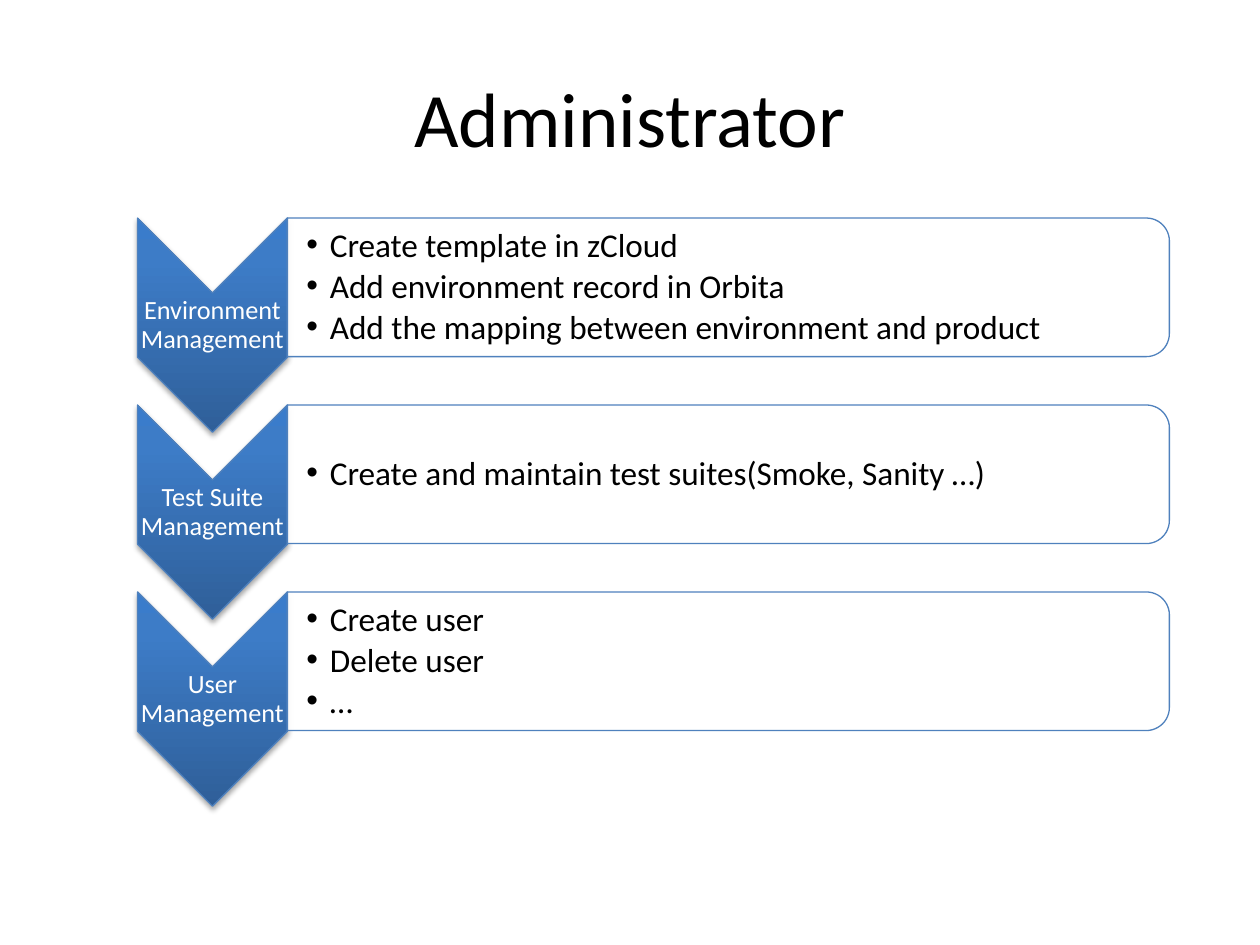
from lxml import etree
from pptx import Presentation
from pptx import util as u
from pptx.dml.color import RGBColor
from pptx.enum import shapes, text
from pptx.oxml import parse_xml
from pptx.oxml.ns import nsdecls, qn

FONT = "Calibri"
BLUE, WHITE, BLACK = "4F81BD", "FFFFFF", "000000"
STOPS = [(0, "2F5F99"), (80, "3D7CC7"), (100, "3A7CCB")]
LEFT, TOP, PITCH = 78.6, 124.6, 106.85
CHEVRON_W, CHEVRON_H = 85.6, 122.4
PANEL_W, PANEL_H = 504, 79.2
ROWS = [
    ("Environment Management", [
        "Create template in zCloud",
        "Add environment record in Orbita",
        "Add the mapping between environment and product"]),
    ("Test Suite Management", [
        "Create and maintain test suites(Smoke, Sanity …)"]),
    ("User Management", ["Create user", "Delete user", "…"]),
]


def rgb(value):
    """Turn a hex string into a colour."""
    return RGBColor.from_string(value)


def add_turned(s, kind, left, top, w, h):
    """Add an outlined shape turned by 90 degrees that covers the given area."""
    sp = s.shapes.add_shape(kind, u.Pt(left + (w - h) / 2), u.Pt(top + (h - w) / 2),
                            u.Pt(h), u.Pt(w))
    sp.rotation = 90
    sp.shadow.inherit = False
    sp.line.color.rgb = rgb(BLUE)
    sp.line.width = u.Pt(0.75)
    return sp


def add_chevron(s, left, top):
    """Add a downward chevron with a gradient and a soft shadow."""
    sp = add_turned(s, shapes.MSO_SHAPE.CHEVRON, left, top, CHEVRON_W, CHEVRON_H)
    stops = "".join(f'<a:gs pos="{pos * 1000}"><a:srgbClr val="{c}"/></a:gs>'
                    for pos, c in STOPS)
    geometry = sp._element.spPr.find(qn("a:prstGeom"))
    geometry.addnext(parse_xml(
        f'<a:gradFill {nsdecls("a")} rotWithShape="0"><a:gsLst>{stops}</a:gsLst>'
        '<a:lin ang="16200000" scaled="0"/></a:gradFill>'))
    sp._element.spPr.find(qn("a:effectLst")).append(parse_xml(
        f'<a:outerShdw {nsdecls("a")} blurRad="40000" dist="23000" dir="5400000" '
        f'rotWithShape="0"><a:srgbClr val="{BLACK}"><a:alpha val="35000"/>'
        '</a:srgbClr></a:outerShdw>'))


def add_panel(s, left, top):
    """Add a nearly opaque white panel rounded on its right side."""
    sp = add_turned(s, shapes.MSO_SHAPE.ROUND_2_SAME_RECTANGLE, left, top,
                    PANEL_W, PANEL_H)
    sp.fill.solid()
    sp.fill.fore_color.rgb = rgb(WHITE)
    color = sp._element.spPr.find(qn("a:solidFill")).find(qn("a:srgbClr"))
    etree.SubElement(color, qn("a:alpha")).set("val", "90000")


def add_text(s, box, content, size, color, align=text.PP_ALIGN.CENTER, insets=None):
    """Add a wrapped, vertically centred text box."""
    tf = s.shapes.add_textbox(*map(u.Pt, box)).text_frame
    tf.word_wrap = True
    tf.vertical_anchor = text.MSO_ANCHOR.MIDDLE
    if insets:
        tf.margin_left, tf.margin_top, tf.margin_right, tf.margin_bottom = map(u.Pt, insets)
    tf.text = content
    for p in tf.paragraphs:
        p.alignment = align
        for r in p.runs:
            r.font.name, r.font.size = FONT, u.Pt(size)
            r.font.color.rgb = rgb(color)
    return tf


def set_spacing(tf, after):
    """Tighten the lines and set the gap after each paragraph."""
    for p in tf.paragraphs:
        p.line_spacing = 0.9
        p.space_after = u.Pt(after)


def set_bullets(tf, indent):
    """Give each paragraph a hanging round bullet."""
    for p in tf.paragraphs:
        p.level = 1
        pPr = p._p.get_or_add_pPr()
        pPr.set("marL", str(u.Pt(indent)))
        pPr.set("indent", str(-u.Pt(indent)))
        etree.SubElement(pPr, qn("a:buFont")).set("typeface", "Arial")
        etree.SubElement(pPr, qn("a:buChar")).set("char", "•")


def add_row(s, top, label, items):
    """Add one chevron with its label and its panel of bullets."""
    panel_left = LEFT + CHEVRON_W
    add_chevron(s, LEFT, top)
    tf = add_text(s, (LEFT, top + 43, CHEVRON_W, 36.7), label, 15, WHITE,
                  insets=(0.75,) * 4)
    set_spacing(tf, 5.25)
    add_panel(s, panel_left, top)
    tf = add_text(s, (panel_left, top + 4, 500.4, 71.3), "\n".join(items), 19, BLACK,
                  text.PP_ALIGN.LEFT, (10.8, 0.75, 0.75, 0.75))
    set_spacing(tf, 2.85)
    set_bullets(tf, 13.5)


def main():
    """Build the slide and save it."""
    prs = Presentation()
    prs.slide_width, prs.slide_height = u.Pt(720), u.Pt(540)
    s = prs.slides.add_slide(prs.slide_layouts[6])
    add_text(s, (36, 21.6, 648, 90), "Administrator", 44, BLACK)
    for i, (label, items) in enumerate(ROWS):
        add_row(s, TOP + i * PITCH, label, items)
    prs.save("out.pptx")


if __name__ == "__main__":
    main()
